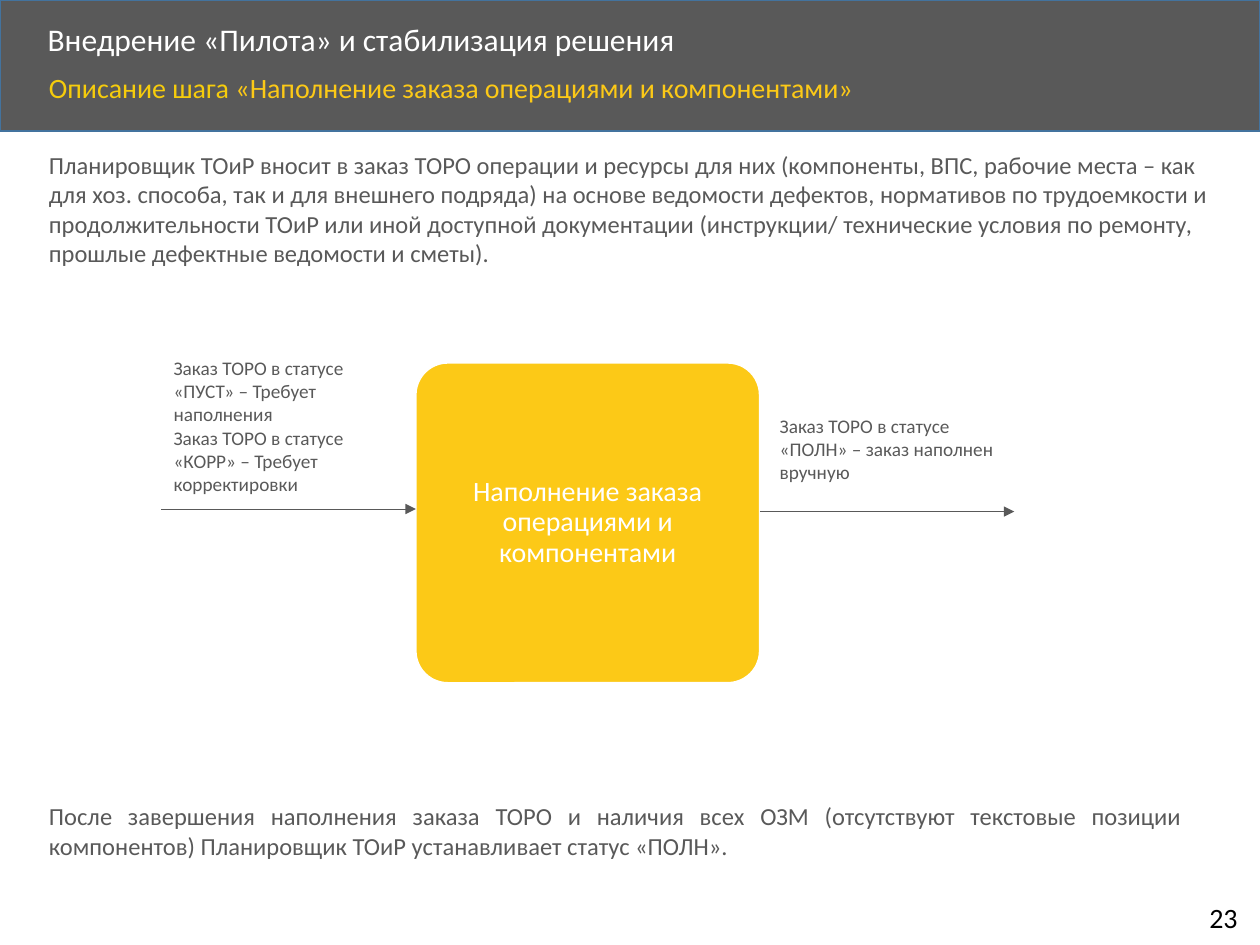
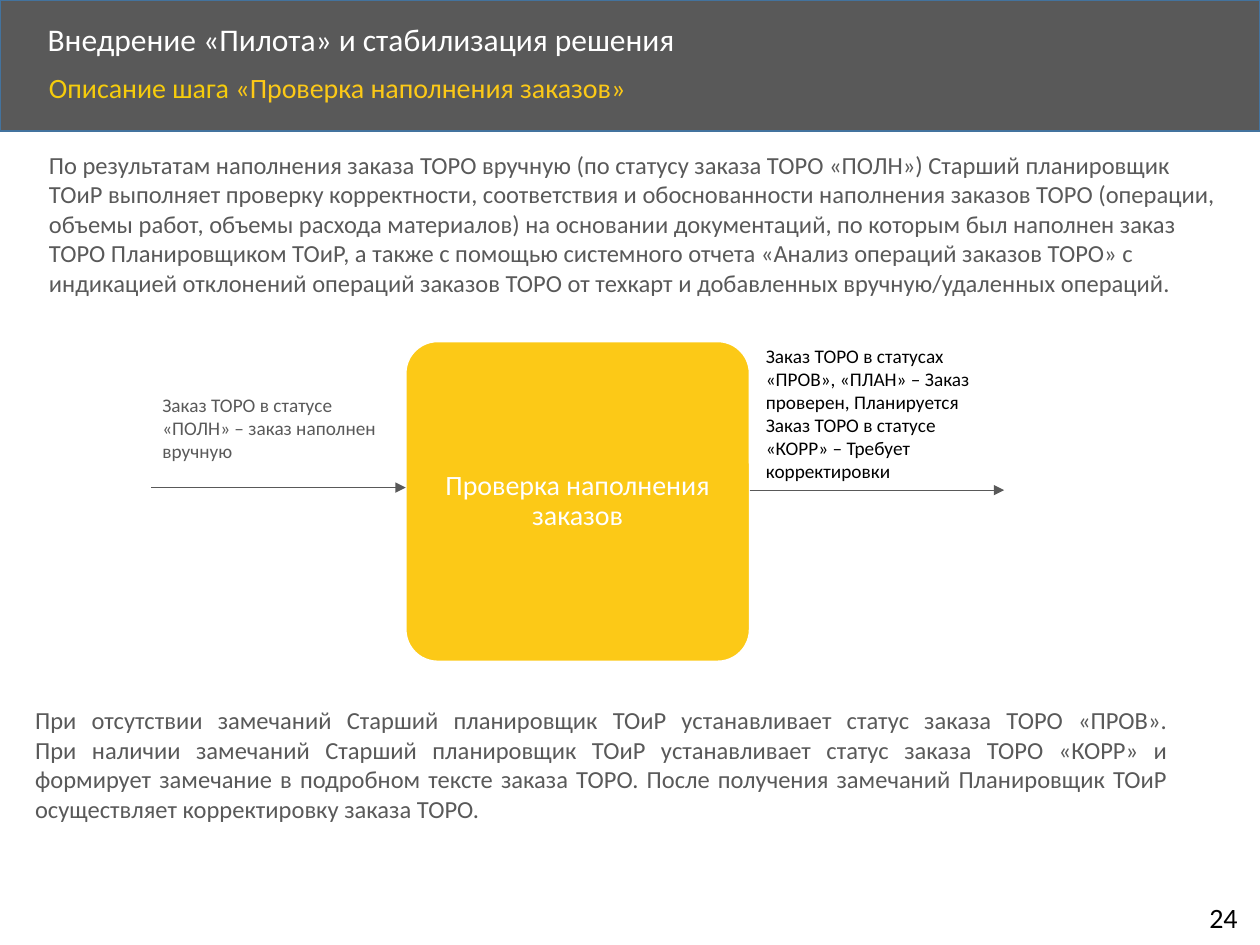
import pptx
import pptx.util
import pptx.dml.color
import pptx.enum.shapes
import pptx.enum.text
import pptx.oxml.ns
from lxml import etree

Inches = pptx.util.Inches
Pt = pptx.util.Pt
Align = pptx.enum.text.PP_ALIGN
Anchor = pptx.enum.text.MSO_ANCHOR
Shape = pptx.enum.shapes.MSO_SHAPE

# Shared look
FONT = "Calibri"
GREY, YELLOW, GOLD = "595959", "FCC917", "F6CC0C"
WHITE, BLACK, BLUE = "FFFFFF", "000000", "43739E"
STEP_WIDTH, STEP_HEIGHT = 2.73, 2.54
ARROW_LENGTH = 2.02
INPUT_DROP, OUTPUT_DROP = 1.16, 1.18  # arrow heights below the step's top
LABEL_WIDTH = 2

# Content
TITLE = "Внедрение «Пилота» и стабилизация решения"
SUBTITLE_LEAD = "Описание шага "
FILLED = ["Заказ ТОРО в статусе «ПОЛН» – заказ наполнен вручную"]
CORRECTION = "Заказ ТОРО в статусе «КОРР» – Требует корректировки"

STEPS = [
    {
        "number": "23",
        "name": "Наполнение заказа операциями и компонентами",
        "intro": "Планировщик ТОиР вносит в заказ ТОРО операции и ресурсы для них "
                 "(компоненты, ВПС, рабочие места – как для хоз. способа, так и для "
                 "внешнего подряда) на основе ведомости дефектов, нормативов по "
                 "трудоемкости и продолжительности ТОиР или иной доступной документации "
                 "(инструкции/ технические условия по ремонту, прошлые дефектные "
                 "ведомости и сметы).",
        "intro_height": 1.04,
        "step_at": (3.3, 2.88),
        "input": ["Заказ ТОРО в статусе «ПУСТ» – Требует наполнения", CORRECTION],
        "input_at": (1.28, 2.78, LABEL_WIDTH, 1.21),
        "output": FILLED,
        "output_at": (6.09, 3.24, LABEL_WIDTH, 0.66),
        "output_color": GREY,
        "result": "После завершения наполнения заказа ТОРО и наличия всех ОЗМ "
                  "(отсутствуют текстовые позиции компонентов) Планировщик ТОиР "
                  "устанавливает статус «ПОЛН».",
        "result_at": (0.29, 6.31, 9.19, 0.57),
    },
    {
        "number": "24",
        "name": "Проверка наполнения заказов",
        "intro": "По результатам наполнения заказа ТОРО вручную (по статусу заказа ТОРО "
                 "«ПОЛН») Старший планировщик ТОиР выполняет проверку корректности, "
                 "соответствия и обоснованности наполнения заказов ТОРО (операции, "
                 "объемы работ, объемы расхода материалов) на основании документаций, "
                 "по которым был наполнен заказ ТОРО Планировщиком ТОиР, а также с "
                 "помощью системного отчета «Анализ операций заказов ТОРО» с индикацией "
                 "отклонений операций заказов ТОРО от техкарт и добавленных "
                 "вручную/удаленных операций.",
        "intro_height": 1.28,
        "step_at": (3.22, 2.71),
        "input": FILLED,
        "input_at": (1.19, 3.07, LABEL_WIDTH, 0.66),
        "output": ["Заказ ТОРО в статусах «ПРОВ», «ПЛАН» – Заказ проверен, Планируется",
                   CORRECTION],
        "output_at": (5.98, 2.68, LABEL_WIDTH, 1.21),
        "output_color": BLACK,
        "result": "При отсутствии замечаний Старший планировщик ТОиР устанавливает статус "
                  "заказа ТОРО «ПРОВ».\vПри наличии замечаний Старший планировщик ТОиР "
                  "устанавливает статус заказа ТОРО «КОРР» и формирует замечание в "
                  "подробном тексте заказа ТОРО. После получения замечаний Планировщик "
                  "ТОиР осуществляет корректировку заказа ТОРО.",
        "result_at": (0.18, 5.55, 9.19, 1.04),
    },
]


def rgb(color):
    return pptx.dml.color.RGBColor.from_string(color)


def write(box, lines, size, color, align=Align.LEFT, spacing=1.0, anchor=Anchor.TOP, wrap=True):
    frame = box.text_frame
    frame.word_wrap = wrap
    frame.vertical_anchor = anchor
    frame.text = "\n".join(lines)
    for para in frame.paragraphs:
        para.alignment = align
        para.line_spacing = spacing
        para.font.name = FONT
        para.font.size = Pt(size)
        para.font.color.rgb = rgb(color)


def add_text(page, at, lines, size, color, **layout):
    box = page.shapes.add_textbox(*map(Inches, at))
    write(box, lines, size, color, **layout)
    return box


def add_block(page, kind, at, fill, line):
    block = page.shapes.add_shape(kind, *map(Inches, at))
    block.shadow.inherit = False
    block.fill.solid()
    block.fill.fore_color.rgb = rgb(fill)
    block.line.color.rgb = rgb(line)
    block.line.width = Pt(1)
    return block


def add_arrow(page, left, top):
    arrow = page.shapes.add_connector(
        pptx.enum.shapes.MSO_CONNECTOR.STRAIGHT,
        Inches(left), Inches(top), Inches(left + ARROW_LENGTH), Inches(top))
    arrow.line.color.rgb = rgb(GREY)
    arrow.line.width = Pt(0.5)
    qn = pptx.oxml.ns.qn
    etree.SubElement(arrow.line._get_or_add_ln(), qn("a:tailEnd"), type="triangle")
    etree.SubElement(arrow._element.spPr, qn("a:effectLst"))


def add_frame(page, step):
    """Header band, title, subtitle and page number."""
    add_block(page, Shape.RECTANGLE, (0, 0, 10, 1.04), GREY, BLUE)
    add_text(page, (0.28, 0.14, 8.07, 0.38), [TITLE], 18, WHITE,
             spacing=0.9, anchor=Anchor.MIDDLE)
    subtitle = add_text(page, (0.29, 0.54, 8.65, 0.45), [SUBTITLE_LEAD], 16, GOLD, spacing=0.9)
    span = subtitle.text_frame.paragraphs[0].add_run()
    span.text = f"«{step['name']}»"
    span.font.color.rgb = rgb(YELLOW)
    add_text(page, (9.5, 7.1, 0.46, 0.37), [step["number"]], 16, BLACK, wrap=False)


def add_flow(page, step):
    """Step block with its incoming and outgoing arrows and labels."""
    left, top = step["step_at"]
    block = add_block(page, Shape.ROUNDED_RECTANGLE,
                      (left, top, STEP_WIDTH, STEP_HEIGHT), YELLOW, WHITE)
    block.adjustments[0] = 0.1
    frame = block.text_frame
    frame.margin_left = frame.margin_right = Inches(0.01)
    frame.margin_top = frame.margin_bottom = Inches(0.01)
    write(block, [step["name"]], 16, WHITE, align=Align.CENTER,
          spacing=0.9, anchor=Anchor.MIDDLE)
    add_arrow(page, left - ARROW_LENGTH, top + INPUT_DROP)
    add_arrow(page, left + STEP_WIDTH, top + OUTPUT_DROP)
    add_text(page, step["input_at"], step["input"], 11, GREY)
    add_text(page, step["output_at"], step["output"], 11, step["output_color"])


def main():
    deck = pptx.Presentation()
    deck.slide_width, deck.slide_height = Inches(10), Inches(7.5)
    for step in STEPS:
        page = deck.slides.add_slide(deck.slide_layouts[6])
        add_frame(page, step)
        add_text(page, (0.29, 1.14, 9.46, step["intro_height"]), [step["intro"]], 14, GREY)
        add_flow(page, step)
        add_text(page, step["result_at"], [step["result"]], 14, GREY, align=Align.JUSTIFY)
    deck.save("out.pptx")


if __name__ == "__main__":
    main()
